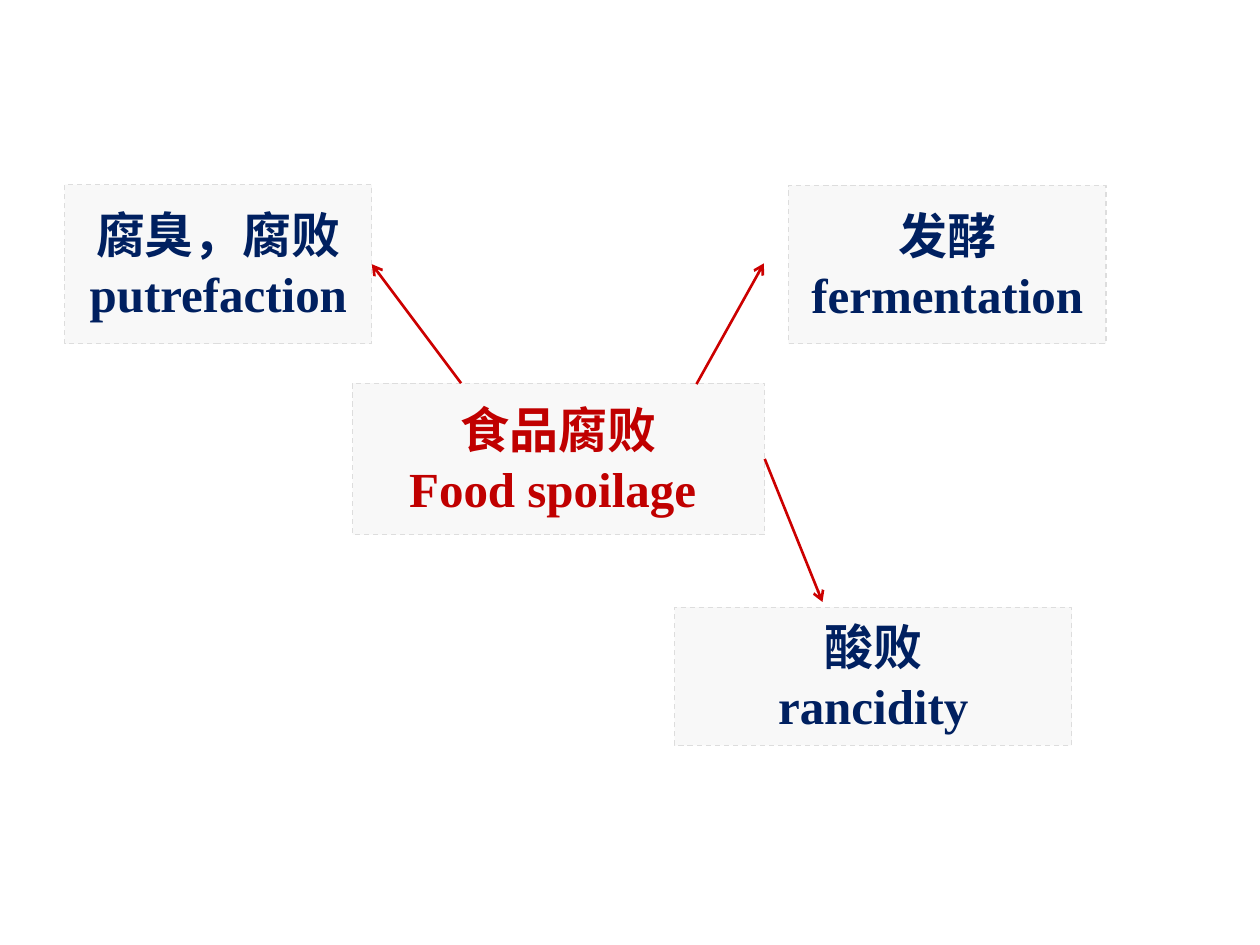
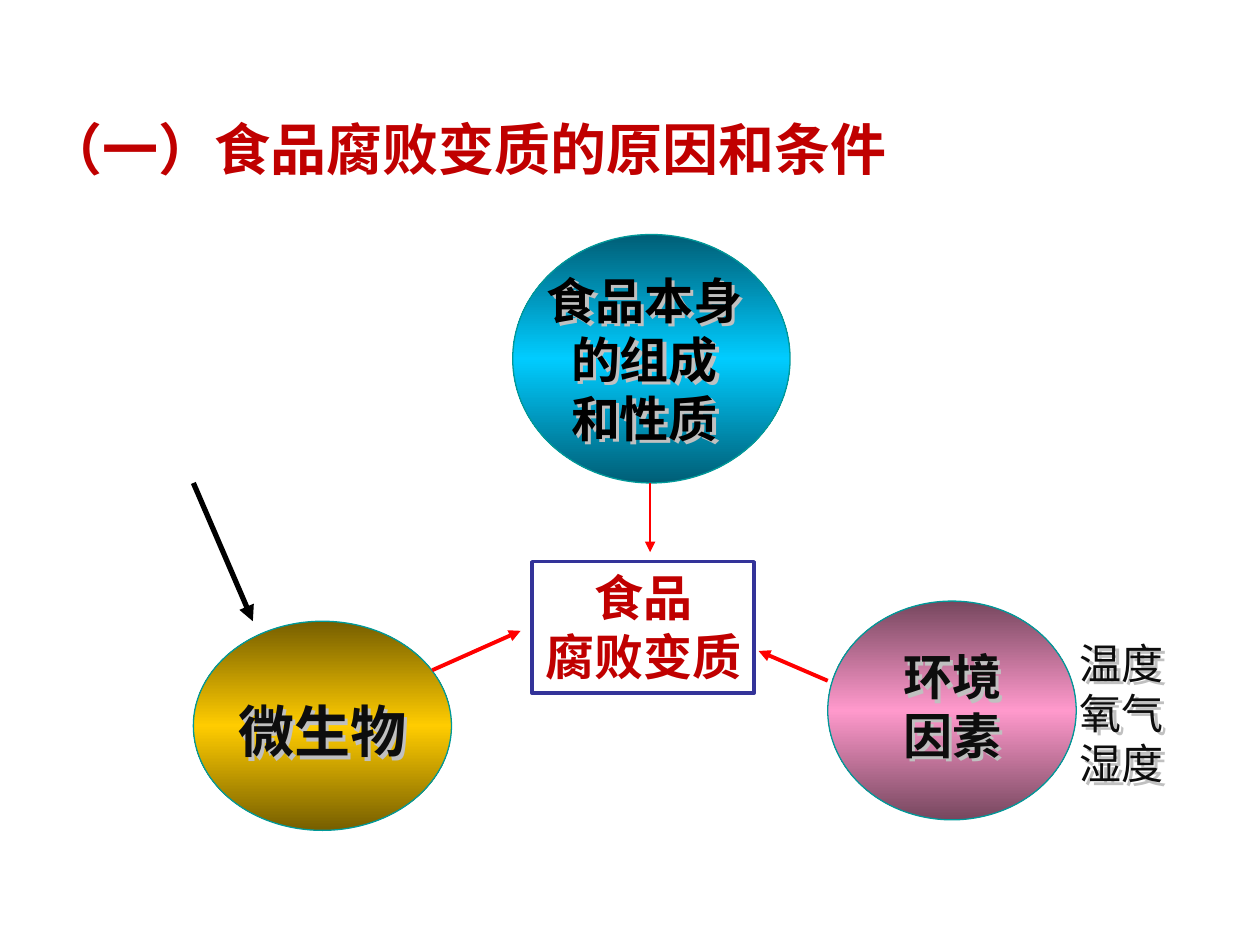
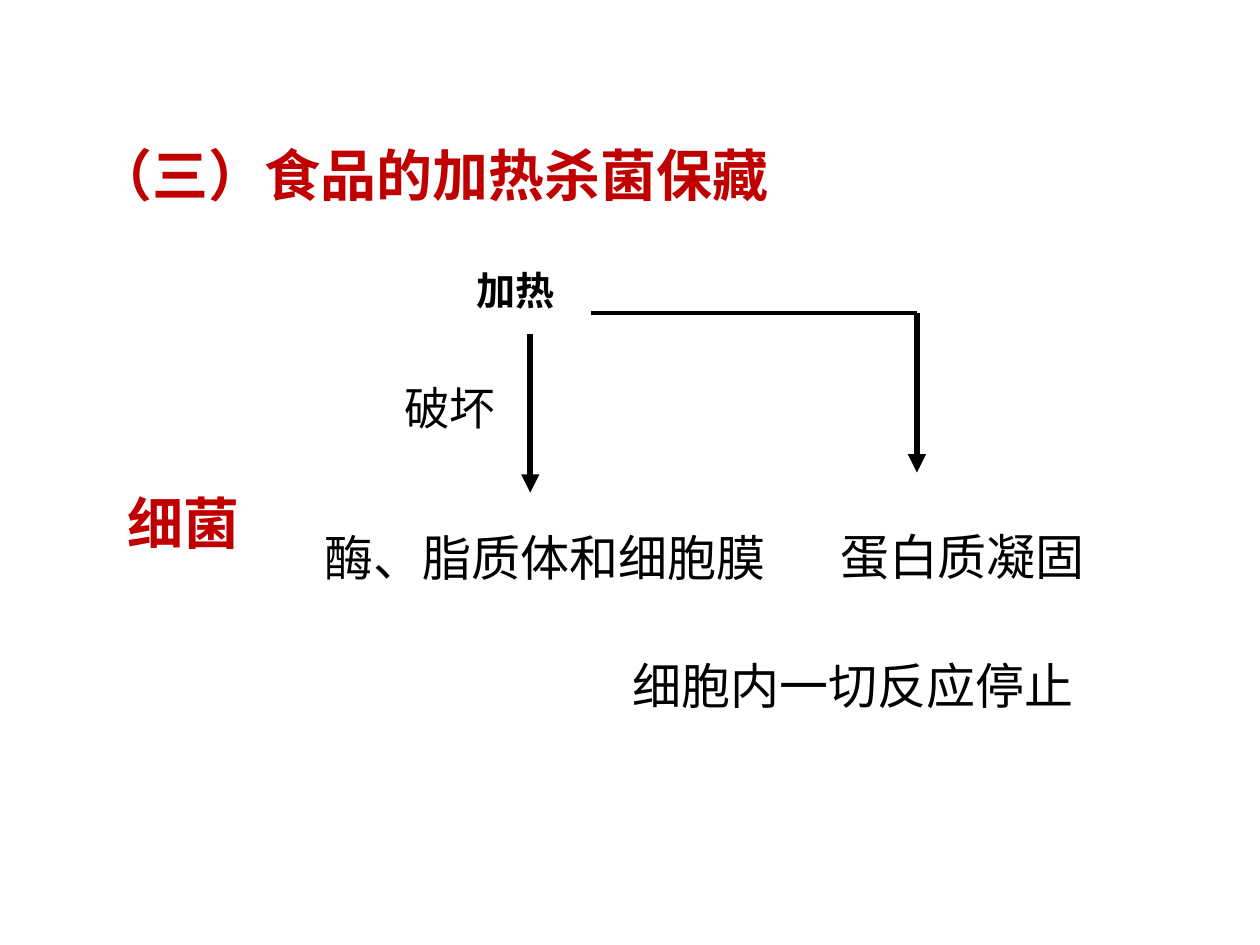
from copy import deepcopy

from lxml import etree
from pptx import Presentation, util as u
from pptx.dml.color import RGBColor
from pptx.enum import dml, shapes, text
from pptx.oxml import ns

Pt = u.Pt


class Theme:
    red = "C00000"
    navy = "002060"
    black = "000000"
    ink = "0D0D0D"
    white = "FFFFFF"
    panel = "F8F8F8"
    edge = "DDDDDD"
    arrow = "CC0000"
    bright = "FF0000"
    frame = "333399"
    rim = "009999"
    shade = "C0C0C0"
    head = 32
    body = 28
    note = 24
    verb = 26
    heat = 22.4
    hans = "Noto Sans CJK SC"
    roman = "Times New Roman"
    sans = "Arial"


SPOIL = {
    "core": ((201.5, 219, 235.5, 86.5), ["食品腐败", "Food spoilage "], Theme.red),
    "ferment": ((450.5, 106, 181.5, 90.5), ["发酵", "fermentation"], Theme.navy),
    "rancid": ((385.5, 347, 227, 79), ["酸败", "rancidity"], Theme.navy),
    "rot": ((37, 105.5, 175.5, 91), ["腐臭，腐败", "putrefaction"], Theme.navy),
}
LABEL = (209.5, 75)

RESULT = ((304, 321, 127, 75), ["食品", "腐败变质"])
CAUSES = [
    ((293, 134, 158.5, 142), "005E76", "00CCFF"),
    ((473, 343.5, 142, 125), "76475E", "FF99CC"),
    ((110.5, 355, 147.5, 119.5), "765E00", "FFCC00"),
]
NOTES = [
    ((275, 151, 186.5, 108), ["食品本身", "的组成", "和性质"],
     dict(color=Theme.black, bold=True, align="c")),
    ((122, 394.5, 124.5, 46), ["微生物"],
     dict(size=Theme.head, color=Theme.ink, bold=True, align="c")),
    ((509, 366, 74, 75), ["环境", "因素"],
     dict(color=Theme.ink, bold=True)),
    ((608, 360.5, 66, 93.5), ["温度", "氧气", "湿度"],
     dict(size=Theme.note, color=Theme.ink, align="c")),
]
LINKS = [
    ((371.5, 276), (371.5, 315.5), Theme.bright, 0.75),
    ((247, 383), (297.5, 360.5), Theme.bright, 2.25),
    ((473, 389), (433.5, 372), Theme.bright, 2.25),
    ((110.5, 276), (144.5, 355), Theme.black, 3),
]

HEADS = {
    "cause": ((19.5, 48, 538.5, 73.5), "（一）食品腐败变质的原因和条件", Theme.sans),
    "heat": ((48, 63, 459.5, 73.5), "（三）食品的加热杀菌保藏", Theme.hans),
}
STEPS = [
    ((178.5, 287, 266.5, 62.5), "酶、脂质体和细胞膜", {}),
    ((252, 151, 85, 34), "加热",
     dict(size=Theme.heat, bold=True, align="c", space=0.8)),
    ((65, 275.5, 79.5, 46), "细菌",
     dict(size=Theme.head, color=Theme.red, bold=True, align="c")),
    ((224, 213.5, 70, 39), "破坏",
     dict(size=Theme.verb, grow=True, mid=False)),
    ((473, 291.5, 170, 52.5), "蛋白质凝固", {}),
    ((354.5, 365, 289.5, 52.5), "细胞内一切反应停止", {}),
]
FLOW = [
    ((303, 191), (303, 281.5), 3.5, "triangle"),
    ((337.5, 179), (524, 179), 2.25, None),
    ((524, 179), (524, 270), 3.5, "triangle"),
]


def rgb(code):
    return RGBColor.from_string(code)


def place(box):
    return [Pt(n) for n in box]


def sub(root, tag, **attrs):
    return etree.SubElement(root, ns.qn(tag), attrs)


def write(shape, lines, size=Theme.body, color=Theme.black, bold=False, face=None,
          align="l", grow=False, mid=False, space=None, shadow=False):
    frame = shape.text_frame
    frame.word_wrap = True
    fit = text.MSO_AUTO_SIZE
    frame.auto_size = fit.SHAPE_TO_FIT_TEXT if grow else fit.NONE
    anchor = text.MSO_ANCHOR
    frame.vertical_anchor = anchor.MIDDLE if mid else anchor.TOP
    if shadow:
        effects = sub(shape._element.spPr, "a:effectLst")
        cast = sub(effects, "a:outerShdw", dist="35921", dir="2700000")
        sub(cast, "a:srgbClr", val=Theme.shade)
    for i, line in enumerate(lines):
        para = frame.add_paragraph() if i else frame.paragraphs[0]
        para.alignment = text.PP_ALIGN.CENTER if align == "c" else text.PP_ALIGN.LEFT
        if space:
            para.line_spacing = space
        run = para.add_run()
        run.text = line
        font = run.font
        font.size, font.bold = Pt(size), bold
        font.color.rgb = rgb(color)
        font.name = face or (Theme.roman if line.isascii() else Theme.hans)
        latin = run._r.get_or_add_rPr().find(ns.qn("a:latin"))
        latin.addnext(etree.Element(ns.qn("a:ea"), typeface=Theme.hans))


def words(slide, box, lines, **fmt):
    write(slide.shapes.add_textbox(*place(box)), lines, **fmt)


def title(slide, key):
    box, line, face = HEADS[key]
    words(slide, box, [line], size=Theme.head, color=Theme.red, bold=True,
          face=face, mid=True)


def draw(slide, kind, box, edge, width):
    shape = slide.shapes.add_shape(kind, *place(box))
    shape.shadow.inherit = False
    shape.line.color.rgb = rgb(edge)
    shape.line.width = Pt(width)
    return shape


def panel(slide, box, fill, edge, width):
    shape = draw(slide, shapes.MSO_SHAPE.RECTANGLE, box, edge, width)
    shape.fill.solid()
    shape.fill.fore_color.rgb = rgb(fill)
    return shape


def ball(slide, box, dark, light):
    shape = draw(slide, shapes.MSO_SHAPE.OVAL, box, Theme.rim, 0.75)
    fill = shape.fill
    fill.gradient()
    fill.gradient_angle = 90
    for stop, code, spot in zip(fill.gradient_stops, (dark, light), (0, 0.5)):
        stop.color.rgb = rgb(code)
        stop.position = spot
    stops = shape._element.spPr.find(".//" + ns.qn("a:gsLst"))
    last = deepcopy(stops[0])
    last.set("pos", "100000")
    stops.append(last)


def link(slide, start, end, color, width, tip="triangle"):
    line = slide.shapes.add_connector(
        shapes.MSO_CONNECTOR.STRAIGHT, *place(start + end))
    line.line.color.rgb = rgb(color)
    line.line.width = Pt(width)
    props = line._element.spPr
    if tip:
        sub(props.find(ns.qn("a:ln")), "a:tailEnd", type=tip)
    sub(props, "a:effectLst")
    return line


def spoilage(slide):
    rects = {}
    for name, (box, _, _) in SPOIL.items():
        rects[name] = panel(slide, box, Theme.panel, Theme.edge, 0.75)
        rects[name].line.dash_style = dml.MSO_LINE.DASH
    wide, high = LABEL
    for (x, y, w, h), lines, color in SPOIL.values():
        spot = (x + (w - wide) / 2, y + (h - high) / 2, wide, high)
        words(slide, spot, lines, color=color, bold=True, align="c", grow=True)
    pen = (Theme.arrow, 1.5, "arrow")
    link(slide, (263.5, 219), (212.5, 151), *pen).end_connect(rects["rot"], 3)
    link(slide, (398, 219.5), (436.5, 150.5), *pen)
    link(slide, (437, 262), (470, 344), *pen).begin_connect(rects["core"], 3)


def causes(slide):
    box, lines = RESULT
    write(panel(slide, box, Theme.white, Theme.frame, 2), lines, color=Theme.red,
          bold=True, face=Theme.sans, align="c", grow=True)
    for cause in CAUSES:
        ball(slide, *cause)
    for box, lines, fmt in NOTES:
        words(slide, box, lines, grow=True, shadow=True, **fmt)
    for item in LINKS:
        link(slide, *item)
    title(slide, "cause")


def heating(slide):
    title(slide, "heat")
    for box, line, fmt in STEPS:
        words(slide, box, [line], **{"mid": True, **fmt})
    for start, end, width, tip in FLOW:
        link(slide, start, end, Theme.black, width, tip)


def main():
    deck = Presentation()
    deck.slide_width, deck.slide_height = Pt(720), Pt(540)
    for build in (spoilage, causes, heating):
        build(deck.slides.add_slide(deck.slide_layouts[6]))
    deck.save("out.pptx")


if __name__ == "__main__":
    main()
